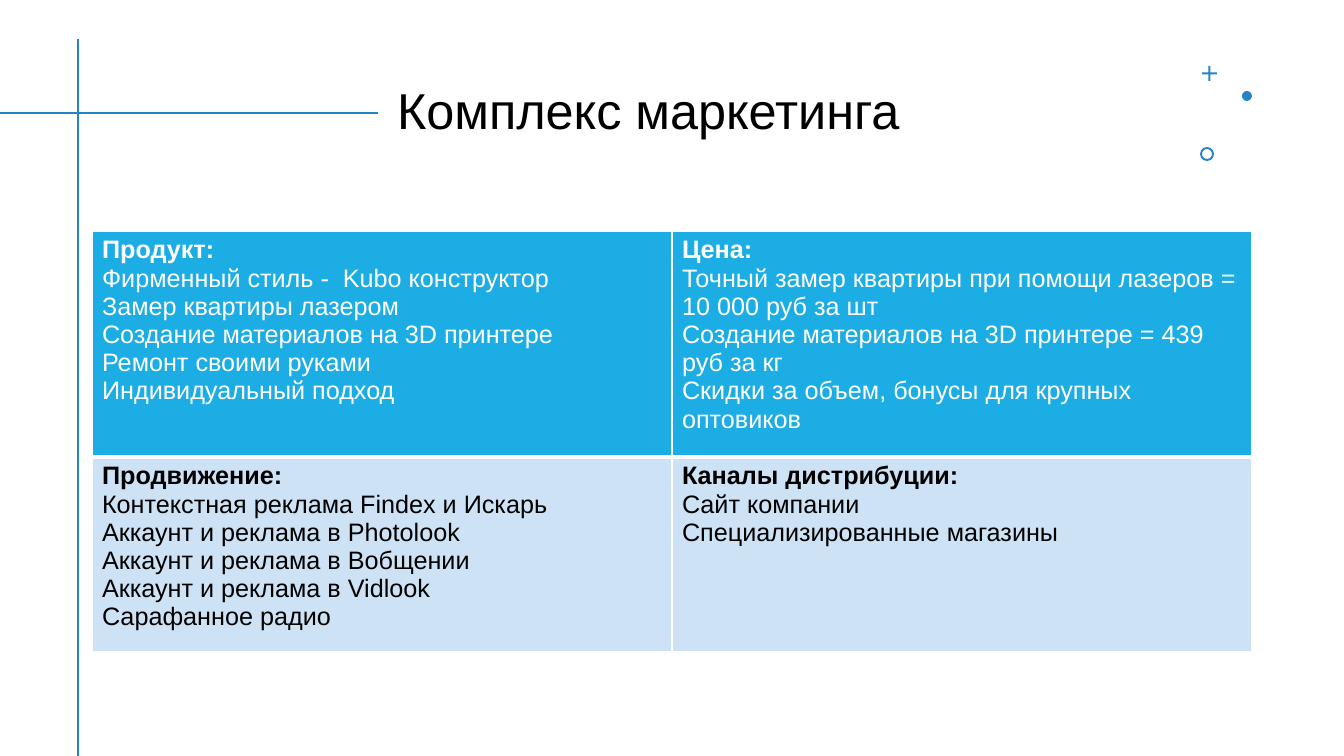
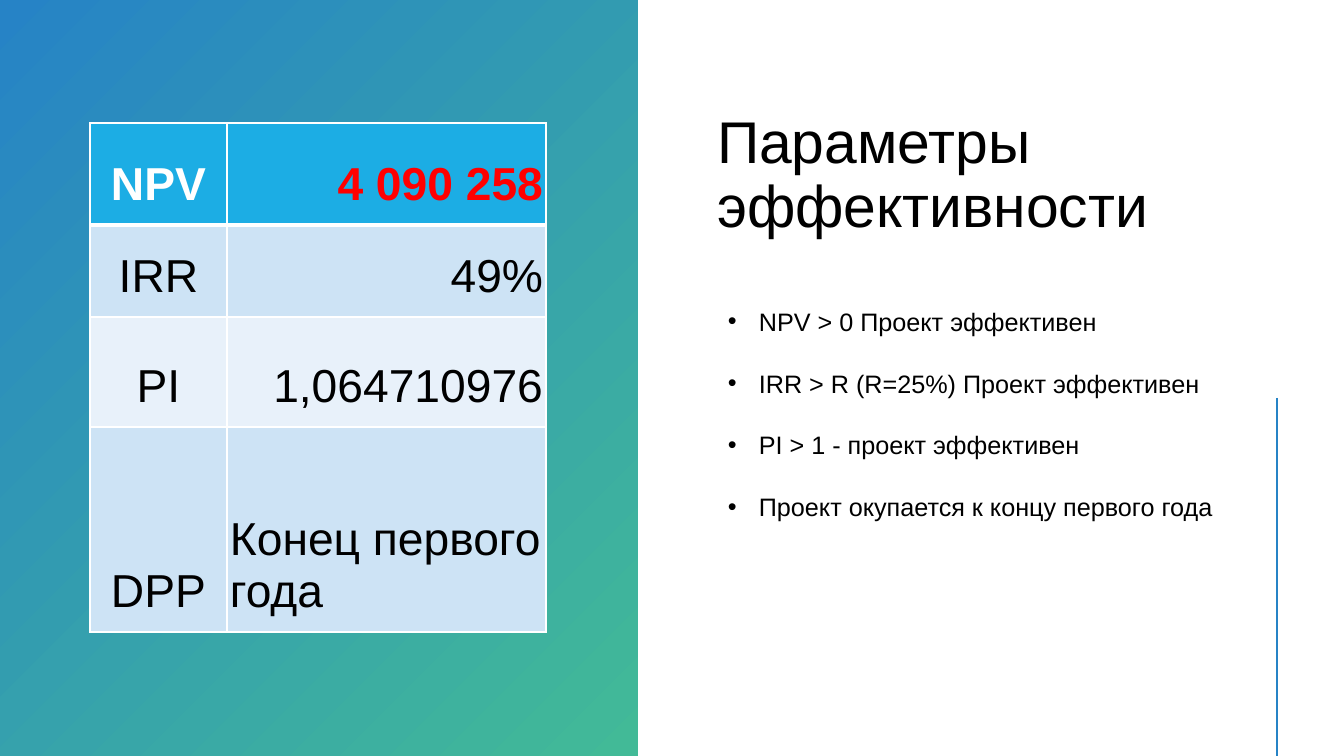
from dataclasses import dataclass

from lxml import etree
from pptx import Presentation
from pptx.dml.color import RGBColor
from pptx.enum.shapes import MSO_CONNECTOR, MSO_SHAPE
from pptx.enum.text import MSO_ANCHOR, MSO_AUTO_SIZE, PP_ALIGN
from pptx.oxml.ns import qn
from pptx.util import Emu, Pt

LEFT, CENTER, RIGHT = PP_ALIGN.LEFT, PP_ALIGN.CENTER, PP_ALIGN.RIGHT
TOP, MIDDLE, BOTTOM = MSO_ANCHOR.TOP, MSO_ANCHOR.MIDDLE, MSO_ANCHOR.BOTTOM
STRAIGHT = MSO_CONNECTOR.STRAIGHT
PLUS, OVAL, DONUT, RECT = (MSO_SHAPE.CROSS, MSO_SHAPE.OVAL,
                           MSO_SHAPE.DONUT, MSO_SHAPE.RECTANGLE)
TITLE_ONLY = 5
SLIDE_W, SLIDE_H = 1344, 756


@dataclass(frozen=True)
class Theme:
    font: str = "Arial"
    accent: str = "2683C6"
    green: str = "42BA97"
    header: str = "1CADE4"
    band: str = "CDE3F5"
    band_light: str = "E8F1FA"
    white: str = "FFFFFF"
    black: str = "000000"
    alert: str = "FF0000"
    body: int = 18
    figure: int = 33
    title: int = 36
    title_large: int = 42
    rule: int = 2
    border: int = 1
    header_border: int = 3


THEME = Theme()

MARKETING_MIX = [
    [
        ["Продукт:", "Фирменный стиль - \u00a0Kubo конструктор",
         "Замер квартиры лазером", "Создание материалов на 3D принтере",
         "Ремонт своими руками", "Индивидуальный подход"],
        ["Цена:",
         "Точный замер квартиры при помощи лазеров = 10 000 руб за шт",
         "Создание материалов на 3D принтере = 439 руб за кг",
         "Скидки за объем, бонусы для крупных оптовиков"],
    ],
    [
        ["Продвижение:", "Контекстная реклама Findex и Искарь",
         "Аккаунт и реклама в Photolook", "Аккаунт и реклама в Вобщении",
         "Аккаунт и реклама в Vidlook", "Сарафанное радио"],
        ["Каналы дистрибуции:", "Сайт компании",
         "Специализированные магазины"],
    ],
]
INDICATORS = [
    ("NPV", "4 090 258"),
    ("IRR", "49%"),
    ("PI", "1,064710976"),
    ("DPP", "Конец первого года"),
]
CONCLUSIONS = [
    "NPV > 0 Проект эффективен",
    "IRR > R (R=25%) Проект эффективен",
    "PI > 1 - проект эффективен",
    "Проект окупается к концу первого года",
]


def px(n):
    return Emu(round(n * 914400 / 100.8))


def rgb(color):
    return RGBColor.from_string(color)


def write(p, text, size=THEME.body, color=THEME.black, bold=False, align=LEFT):
    p.alignment = align
    r = p.add_run()
    r.text = text
    r.font.name, r.font.size, r.font.bold = THEME.font, Pt(size), bold
    r.font.color.rgb = rgb(color)


def paragraphs(tf, count):
    return [tf.paragraphs[0]] + [tf.add_paragraph() for _ in range(count - 1)]


def add_title(slide, text, box, size, anchor):
    sp = slide.shapes.title
    sp.left, sp.top, sp.width, sp.height = map(px, box)
    tf = sp.text_frame
    tf.word_wrap, tf.auto_size = True, MSO_AUTO_SIZE.NONE
    tf.vertical_anchor = anchor
    p = tf.paragraphs[0]
    p.line_spacing = 0.9
    write(p, text, size=size)


def add_rule(slide, x1, y1, x2, y2):
    line = slide.shapes.add_connector(STRAIGHT, *map(px, (x1, y1, x2, y2)))
    line.line.color.rgb = rgb(THEME.accent)
    line.line.width = Pt(THEME.rule)
    etree.SubElement(line._element.spPr, qn("a:effectLst"))


def add_shape(slide, kind, box):
    sp = slide.shapes.add_shape(kind, *map(px, box))
    sp.shadow.inherit = False
    sp.line.fill.background()
    sp.fill.solid()
    sp.fill.fore_color.rgb = rgb(THEME.accent)
    return sp


def add_ornament(slide, x, y):
    """Plus, dot and ring."""
    add_shape(slide, PLUS, (x + 2, y, 15, 15)).adjustments[0] = 0.43
    add_shape(slide, OVAL, (x + 42, y + 25, 10, 10))
    add_shape(slide, DONUT, (x, y + 81, 14, 14)).adjustments[0] = 0.14


def add_gradient_panel(slide, box):
    fill = add_shape(slide, RECT, box).fill
    fill.gradient()
    fill.gradient_angle = 315
    for stop, color in zip(fill.gradient_stops, (THEME.accent, THEME.green)):
        stop.color.rgb = rgb(color)


def set_borders(cell, top, bottom):
    widths = {"lnL": THEME.border, "lnR": THEME.border, "lnT": top, "lnB": bottom}
    tc_pr = cell._tc.get_or_add_tcPr()
    for i, (tag, width) in enumerate(widths.items()):
        ln = etree.Element(qn(f"a:{tag}"), w=str(Pt(width)))
        fill = etree.SubElement(ln, qn("a:solidFill"))
        etree.SubElement(fill, qn("a:srgbClr"), val=THEME.white)
        tc_pr.insert(i, ln)


def add_grid(slide, x, y, cols, rows, fills):
    """Table with a heavier border under its first row."""
    frame = slide.shapes.add_table(
        len(rows), len(cols), *map(px, (x, y, sum(cols), sum(rows))))
    table = frame.table
    table.first_row = table.horz_banding = False
    for col, width in zip(table.columns, cols):
        col.width = px(width)
    for i, (row, height) in enumerate(zip(table.rows, rows)):
        row.height = px(height)
        for cell in row.cells:
            cell.fill.solid()
            cell.fill.fore_color.rgb = rgb(fills[i])
            set_borders(cell,
                        top=THEME.header_border if i == 1 else THEME.border,
                        bottom=THEME.header_border if i == 0 else THEME.border)
    return table


def add_marketing_table(slide, x, y):
    table = add_grid(slide, x, y, cols=[580, 580], rows=[226, 195],
                     fills=[THEME.header, THEME.band])
    for i, row in enumerate(MARKETING_MIX):
        color = THEME.black if i else THEME.white
        for j, lines in enumerate(row):
            cell = table.cell(i, j)
            cell.vertical_anchor = TOP
            for k, p in enumerate(paragraphs(cell.text_frame, len(lines))):
                write(p, lines[k], color=color, bold=k == 0)


def add_indicator_table(slide, x, y):
    table = add_grid(slide, x, y, cols=[137, 319], rows=[102, 92, 110, 205],
                     fills=[THEME.header, THEME.band, THEME.band_light, THEME.band])
    header_colors = (THEME.white, THEME.alert)
    last = len(INDICATORS) - 1
    for i, row in enumerate(INDICATORS):
        aligns = (CENTER, LEFT if i == last else RIGHT)
        for j, text in enumerate(row):
            cell = table.cell(i, j)
            cell.vertical_anchor = BOTTOM
            cell.margin_left = cell.margin_right = cell.margin_top = px(3)
            cell.margin_bottom = px(15)
            write(cell.text_frame.paragraphs[0], text, size=THEME.figure,
                  color=THEME.black if i else header_colors[j],
                  bold=i == 0, align=aligns[j])


def add_bullets(slide, items, box, gap):
    tf = slide.shapes.add_textbox(*map(px, box)).text_frame
    tf.word_wrap = True
    for p, text in zip(paragraphs(tf, len(items)), items):
        write(p, text)
        p.space_after = Pt(gap)
        p_pr = p._p.get_or_add_pPr()
        p_pr.set("marL", str(px(31)))
        p_pr.set("indent", str(-px(31)))
        etree.SubElement(p_pr, qn("a:buFont"), typeface=THEME.font)
        etree.SubElement(p_pr, qn("a:buChar"), char="•")


def marketing_slide(slide):
    add_rule(slide, 78, 39, 78, SLIDE_H)
    add_title(slide, "Комплекс маркетинга", (387, 40, 789, 146),
              THEME.title, MIDDLE)
    add_rule(slide, 0, 113, 378, 113)
    add_ornament(slide, 1200, 66)
    add_marketing_table(slide, 92, 231)


def efficiency_slide(slide):
    # Left half: indicators on the gradient
    add_gradient_panel(slide, (0, 0, 638, SLIDE_H))
    add_indicator_table(slide, 90, 123)
    # Right half: title and conclusions
    add_title(slide, "Параметры эффективности", (707, 55, 485, 190),
              THEME.title_large, BOTTOM)
    add_bullets(slide, CONCLUSIONS, (718, 301, 509, 254), gap=22.6)
    add_rule(slide, 1277, 398, 1277, SLIDE_H)


def main():
    prs = Presentation()
    prs.slide_width, prs.slide_height = px(SLIDE_W), px(SLIDE_H)
    for build in (marketing_slide, efficiency_slide):
        build(prs.slides.add_slide(prs.slide_layouts[TITLE_ONLY]))
    prs.save("out.pptx")


if __name__ == "__main__":
    main()
